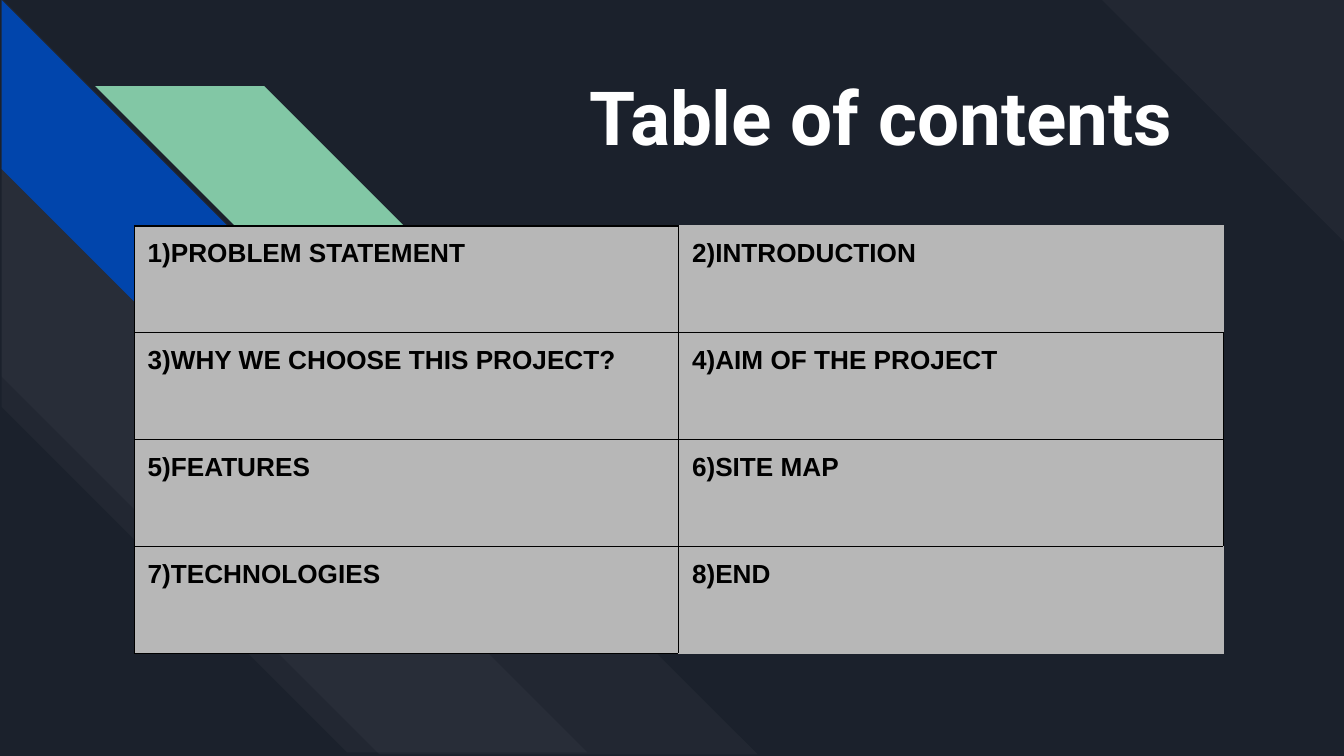
from lxml import etree
from pptx import Presentation
from pptx.dml.color import RGBColor
from pptx.enum.shapes import MSO_SHAPE
from pptx.enum.text import MSO_ANCHOR, MSO_AUTO_SIZE, PP_ALIGN
from pptx.oxml.ns import qn
from pptx.util import Cm, Pt

STRIPE = MSO_SHAPE.DIAGONAL_STRIPE
TITLE_ONLY = 5

TITLE = "Table of contents"
TOPICS = [
    ("PROBLEM STATEMENT", "INTRODUCTION"),
    ("WHY WE CHOOSE THIS PROJECT?", "AIM OF THE PROJECT"),
    ("FEATURES", "SITE MAP"),
    ("TECHNOLOGIES", "END"),
]

NAVY, WHITE, BLACK, GREY = "1B212C", "FFFFFF", "000000", "B7B7B7"
BLUE, GREEN = "0145AC", "82C7A5"

# left, top, size (cm), rotation, adjustment, colour, opacity in percent
STRIPES = [
    (20.83, 0, 4.57, 90, 0, WHITE, 3),
    (0.03, -0.03, 14.29, 270, 0.5, WHITE, 3),
    (0.03, 3.15, 11.07, 270, 0.59, WHITE, 3),
    (0.03, 0, 6.39, 270, 0.5, BLUE, 100),
    (1.8, 1.63, 6.39, 90, 0.5, GREEN, 100),
]

TABLE_LEFT, TABLE_TOP = 2.54, 4.27
COLUMN_WIDTH, ROW_HEIGHT = 10.29, 2.02
INSET = Cm(0.25)
# cells (row, column) whose outer sides blend into the table
GREY_SIDES = {(0, 1): "TR", (3, 1): "RB"}


def paint(fill, colour, opacity=100):
    fill.solid()
    fill.fore_color.rgb = RGBColor.from_string(colour)
    if opacity < 100:
        colour_element = fill._xPr.find(qn("a:solidFill"))[0]
        etree.SubElement(colour_element, qn("a:alpha"), val=str(opacity * 1000))


def add_run(paragraph, text, font_name, size, colour):
    run = paragraph.add_run()
    run.text = text
    run.font.name = font_name
    run.font.size = Pt(size)
    run.font.bold = True
    run.font.color.rgb = RGBColor.from_string(colour)


def add_stripe(slide, left, top, size, rotation, adjustment, colour, opacity):
    shape = slide.shapes.add_shape(STRIPE, Cm(left), Cm(top), Cm(size), Cm(size))
    shape.rotation = rotation
    shape.adjustments[0] = adjustment
    shape.shadow.inherit = False
    shape.line.fill.background()
    paint(shape.fill, colour, opacity)


def set_borders(cell, grey_sides):
    properties = cell._tc.get_or_add_tcPr()
    for side in "LRTB":
        line = etree.SubElement(properties, qn(f"a:ln{side}"), w=str(Pt(0.75)))
        fill = etree.SubElement(line, qn("a:solidFill"))
        colour = GREY if side in grey_sides else BLACK
        etree.SubElement(fill, qn("a:srgbClr"), val=colour)


def add_title(slide):
    title = slide.shapes.title
    title.left, title.top, title.width, title.height = Cm(0.79), Cm(1.09), Cm(23.8), Cm(2.21)
    frame = title.text_frame
    frame.auto_size = MSO_AUTO_SIZE.NONE
    frame.word_wrap = True
    frame.vertical_anchor = MSO_ANCHOR.MIDDLE
    frame.margin_left = Cm(10.36)
    frame.margin_right = frame.margin_top = frame.margin_bottom = INSET
    paragraph = frame.paragraphs[0]
    paragraph.alignment = PP_ALIGN.LEFT
    add_run(paragraph, TITLE, "Roboto", 40, WHITE)


def add_topics(slide):
    rows, columns = len(TOPICS), len(TOPICS[0])
    table = slide.shapes.add_table(
        rows, columns, Cm(TABLE_LEFT), Cm(TABLE_TOP),
        Cm(columns * COLUMN_WIDTH), Cm(rows * ROW_HEIGHT)).table
    table.first_row = table.horz_banding = False
    for row, topics in enumerate(TOPICS):
        for column, topic in enumerate(topics):
            cell = table.cell(row, column)
            cell.margin_left = cell.margin_right = INSET
            cell.margin_top = cell.margin_bottom = INSET
            set_borders(cell, GREY_SIDES.get((row, column), ""))
            paint(cell.fill, GREY)
            number = row * columns + column + 1
            add_run(cell.text_frame.paragraphs[0], f"{number}){topic}", "Arial", 14, BLACK)


def main():
    presentation = Presentation()
    presentation.slide_width, presentation.slide_height = Cm(25.4), Cm(14.29)
    slide = presentation.slides.add_slide(presentation.slide_layouts[TITLE_ONLY])
    paint(slide.background.fill, NAVY)
    for stripe in STRIPES:
        add_stripe(slide, *stripe)
    add_title(slide)
    add_topics(slide)
    presentation.save("out.pptx")


if __name__ == "__main__":
    main()
